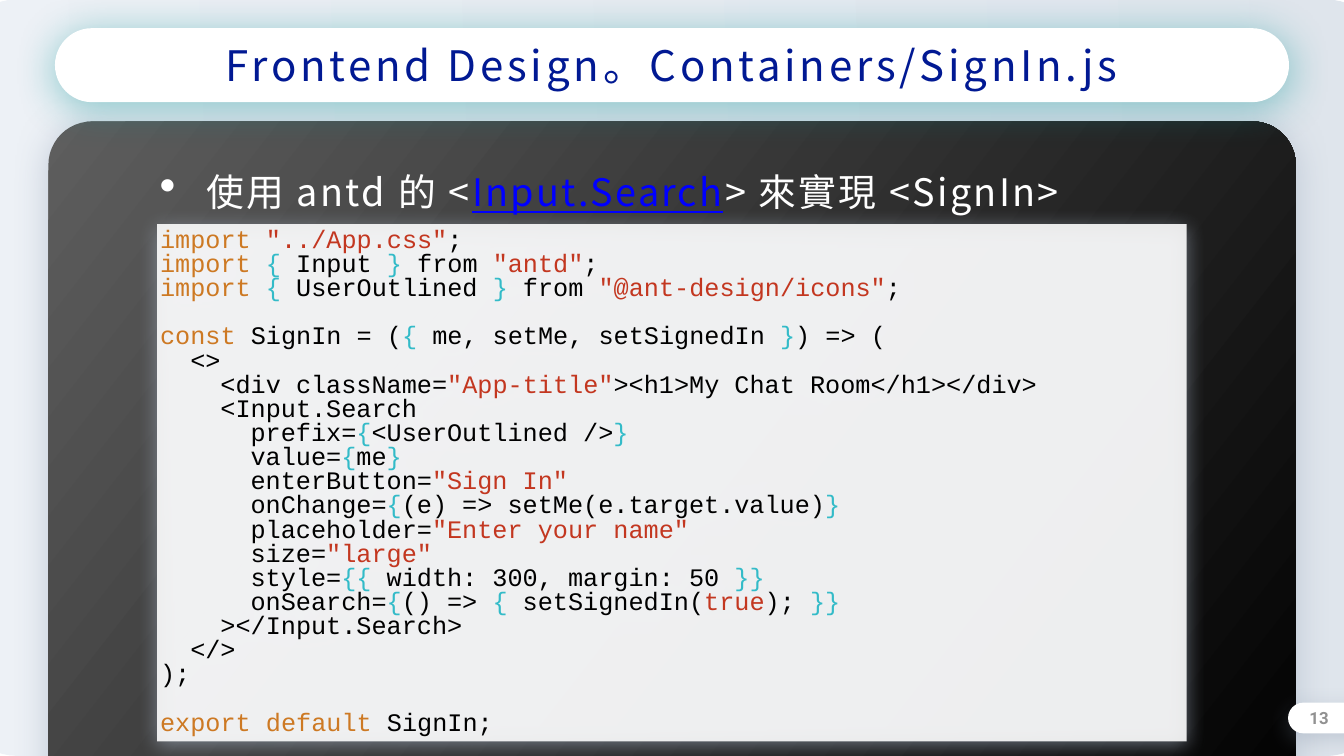
from lxml.etree import SubElement
from pptx import Presentation
from pptx.dml.color import RGBColor
from pptx.enum.shapes import MSO_SHAPE as Shape
from pptx.enum.text import MSO_ANCHOR as Anchor, MSO_AUTO_SIZE as AutoSize, PP_ALIGN as Align
from pptx.oxml.ns import qn
from pptx.util import Cm, Pt

COLORS = {
    "white": "FFFFFF", "sky": "E4EAF2", "mist": "CFD8E4", "gray": "5E5E5E",
    "plain": "000000", "keyword": "CD7923", "string": "C33720", "brace": "33BBC8",
    "title": "011993", "link": "0000FF", "number": "919191",
    "haze": "A7B4C6", "slate": "7A899F", "teal": "009193",
}
CJK, MONO, ROBOTO = "Noto Sans CJK SC", "Courier New", "Roboto"
CODE_LINE = Pt(34.5)
CODE_INDENT = 1.52

IMPORT = ("import ", "keyword")
OPEN, CLOSE = ("{", "brace"), ("}", "brace")
END = (";", "plain")


def plain(text):
    """Return a run in the default code colour."""
    return text, "plain"


def string(text):
    """Return a run in the string colour, with its quotes."""
    return f'"{text}"', "string"


CODE_BLOCKS = [
    [
        (0, [IMPORT, string("../App.css"), END]),
        (0, [IMPORT, OPEN, plain(" Input "), CLOSE, plain(" from "), string("antd"), END]),
        (0, [IMPORT, OPEN, plain(" UserOutlined "), CLOSE, plain(" from "),
             string("@ant-design/icons"), END]),
    ],
    [
        (0, [("const ", "keyword"), plain("SignIn = ("), OPEN,
             plain(" me, setMe, setSignedIn "), CLOSE, plain(") => (")]),
        (1, [plain("<>")]),
        (2, [plain("<div className="), string("App-title"),
             plain("><h1>My Chat Room</h1></div>")]),
        (2, [plain("<Input.Search")]),
        (3, [plain("prefix="), OPEN, plain("<UserOutlined />"), CLOSE]),
        (3, [plain("value="), OPEN, plain("me"), CLOSE]),
        (3, [plain("enterButton="), string("Sign In")]),
        (3, [plain("onChange="), OPEN, plain("(e) => setMe(e.target.value)"), CLOSE]),
        (3, [plain("placeholder="), string("Enter your name")]),
        (3, [plain("size="), string("large")]),
        (3, [plain("style="), ("{{", "brace"), plain(" width: 300, margin: 50 "),
             ("}}", "brace")]),
        (3, [plain("onSearch="), OPEN, plain("() => "), OPEN, plain(" setSignedIn("),
             ("true", "string"), plain("); "), ("}}", "brace")]),
        (2, [plain("></Input.Search>")]),
        (1, [plain("</>")]),
        (0, [plain(");")]),
    ],
    [(0, [("export default ", "keyword"), plain("SignIn;")])],
]


class SlideBuilder:
    """Hold the deck style and the current slide, and draw each kind of element."""

    def __init__(self, presentation):
        self.slide = presentation.slides.add_slide(presentation.slide_layouts[6])

    def color(self, name):
        return RGBColor.from_string(COLORS[name])

    def panel(self, box, fill, radius=None, angle=0, alphas=(), shadow=None):
        kind = Shape.RECTANGLE if radius is None else Shape.ROUNDED_RECTANGLE
        shape = self.slide.shapes.add_shape(kind, *map(Cm, box))
        if radius is not None:
            shape.adjustments[0] = radius
        shape.line.fill.background()
        if len(fill) == 1:
            shape.fill.solid()
            shape.fill.fore_color.rgb = self.color(fill[0])
        else:
            shape.fill.gradient()
            shape.fill.gradient_angle = 360 - angle
            for stop, name in zip(shape.fill.gradient_stops, fill):
                stop.color.rgb = self.color(name)
        properties = shape._element.spPr
        for node, alpha in zip(list(properties.iter(qn("a:srgbClr"))), alphas):
            SubElement(node, qn("a:alpha"), val=str(alpha * 1000))
        shape.shadow.inherit = False
        if shadow:
            self.shadow(properties.find(qn("a:effectLst")), *shadow)
        return shape

    def shadow(self, effects, name, alpha, blur, distance):
        outer = SubElement(effects, qn("a:outerShdw"), blurRad=str(Pt(blur)),
                           dist=str(Pt(distance)), dir="5400000", algn="ctr", rotWithShape="0")
        node = SubElement(outer, qn("a:srgbClr"), val=COLORS[name])
        SubElement(node, qn("a:alpha"), val=str(alpha * 1000))

    def text_box(self, box):
        return self.slide.shapes.add_textbox(*map(Cm, box))

    def frame(self, shape, margin=0.15):
        frame = shape.text_frame
        frame.word_wrap = True
        frame.vertical_anchor = Anchor.MIDDLE
        frame.margin_left = frame.margin_right = Cm(margin)
        frame.margin_top = frame.margin_bottom = Cm(margin)
        return frame

    def add_runs(self, paragraph, runs, font, size, align=Align.LEFT, spacing=0, bold=False):
        paragraph.alignment = align
        paragraph.font.name = font
        paragraph.font.size = Pt(size)
        paragraph.font.bold = bold
        SubElement(paragraph.font._element, qn("a:ea"), typeface=font)
        if spacing:
            paragraph.font._element.set("spc", str(round(spacing * 100)))
        for text, name in runs:
            run = paragraph.add_run()
            run.text = text
            run.font.color.rgb = self.color(name)
            if name == "link":
                run.font.underline = True

    def label(self, shape, text, name, font, size, **style):
        paragraph = self.frame(shape).paragraphs[0]
        self.add_runs(paragraph, [(text, name)], font, size, Align.CENTER, **style)

    def bullet(self, box, runs):
        frame = self.frame(self.text_box(box))
        frame.auto_size = AutoSize.SHAPE_TO_FIT_TEXT
        paragraph = frame.paragraphs[0]
        paragraph.line_spacing = 1.4
        properties = paragraph._p.get_or_add_pPr()
        properties.set("marL", str(Cm(2.34)))
        properties.set("indent", str(-Cm(2.34)))
        SubElement(properties, qn("a:buSzPct"), val="125000")
        SubElement(properties, qn("a:buChar"), char="•")
        self.add_runs(paragraph, runs, CJK, 54, spacing=3.2)

    def code(self, shape, blocks):
        frame = self.frame(shape)
        paragraph = None
        for block in blocks:
            for index, (level, runs) in enumerate(block):
                first = paragraph is None
                paragraph = frame.paragraphs[0] if first else frame.add_paragraph()
                paragraph.line_spacing = CODE_LINE
                if index == 0 and not first:
                    paragraph.space_before = CODE_LINE
                paragraph._p.get_or_add_pPr().set("marL", str(Cm(level * CODE_INDENT)))
                self.add_runs(paragraph, runs, MONO, 36)


def main():
    presentation = Presentation()
    presentation.slide_width, presentation.slide_height = Cm(67.74), Cm(38.1)
    builder = SlideBuilder(presentation)
    builder.panel((-1.83, -0.03, 71.37, 38.13), ["sky", "mist"], 0.07, 358, (62, 65))
    builder.panel((2.44, 6.12, 62.87, 36.45), ["gray", "plain"], 0.06, 38,
                  shadow=("haze", 61, 50, 6.6))
    builder.panel((64.92, 35.41, 4.29, 1.55), ["white"], 0.5, shadow=("slate", 31, 34, 9.5))
    title = builder.panel((2.77, 1.42, 62.2, 3.73), ["white"], 0.5,
                          shadow=("teal", 44, 60, 6.6))
    builder.label(title, "Frontend Design。Containers/SignIn.js", "title", CJK, 60, spacing=5.4)
    number = builder.text_box((65.53, 35.56, 1.91, 1.27))
    builder.label(number, "13", "number", ROBOTO, 24, bold=True)
    listing = builder.panel((7.92, 11.3, 51.89, 26.06), ["white"], alphas=(89,),
                            shadow=("haze", 61, 30, 6.6))
    builder.code(listing, CODE_BLOCKS)
    builder.bullet((7.9, 8.08, 51.97, 2.21), [
        ("使用 antd 的 <", "white"), ("Input.Search", "link"), ("> 來實現 <SignIn>", "white")])
    presentation.save("out.pptx")


if __name__ == "__main__":
    main()
